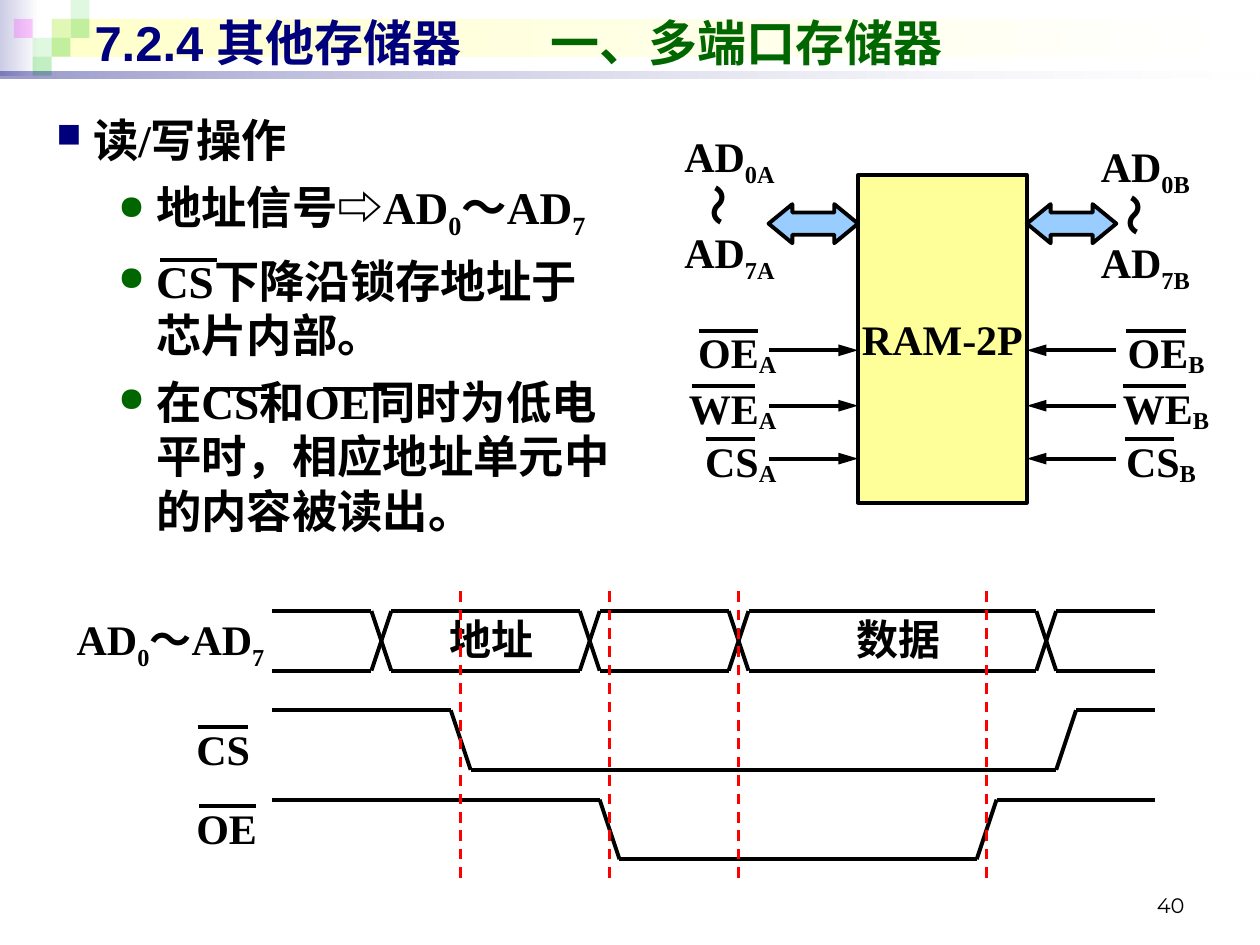
from dataclasses import dataclass
from typing import NamedTuple

from lxml import etree
from pptx import Presentation
from pptx.dml.color import RGBColor
from pptx.enum.dml import MSO_LINE
from pptx.enum.shapes import MSO_CONNECTOR, MSO_SHAPE
from pptx.enum.text import MSO_ANCHOR, MSO_AUTO_SIZE, PP_ALIGN
from pptx.oxml.ns import qn
from pptx.util import Inches, Pt

RECT, ARROW = MSO_SHAPE.RECTANGLE, MSO_SHAPE.LEFT_RIGHT_ARROW
STRAIGHT, DASH = MSO_CONNECTOR.STRAIGHT, MSO_LINE.DASH
LEFT, MID, RIGHT = PP_ALIGN.LEFT, PP_ALIGN.CENTER, PP_ALIGN.RIGHT
TOP, MIDDLE, BOTTOM = MSO_ANCHOR.TOP, MSO_ANCHOR.MIDDLE, MSO_ANCHOR.BOTTOM
FIXED, GROW = MSO_AUTO_SIZE.NONE, MSO_AUTO_SIZE.SHAPE_TO_FIT_TEXT
COLS, ROWS = 100, 75


@dataclass(frozen=True)
class Theme:
    navy: str = "00007D"
    green: str = "006600"
    black: str = "000000"
    white: str = "FFFFFF"
    red: str = "FF0000"
    chip: str = "FFFF99"
    bus: str = "99CCFF"
    mint: str = "33CC33"
    pink: str = "FF00FF"
    haze: str = "CCCCE6"
    cream: str = "FFFFCC"
    serif: str = "Times New Roman"
    sans: str = "Arial"
    digit: str = "Montserrat"
    head: float = 28
    body: float = 25.9
    label: float = 24
    note: float = 12
    stroke: float = 2.24
    thin: float = 1.5


class Run(NamedTuple):
    text: str
    base: int = 0
    font: str = ""
    color: str = ""


class Tile(NamedTuple):
    col: int
    row: int
    color: str
    alpha: int


class Pin(NamedTuple):
    name: str
    row: float
    width: float
    bar_a: tuple
    bar_b: tuple


class Item(NamedTuple):
    runs: list
    indent: float
    hang: float
    mark: str
    color: str


T = Theme()
deck = Presentation()
deck.slide_width, deck.slide_height = Inches(10), Inches(7.5)
slide = deck.slides.add_slide(deck.slide_layouts[5])
shapes = slide.shapes


def across(cols: float) -> int:
    return round(deck.slide_width * cols / COLS)


def down(rows: float) -> int:
    return round(deck.slide_height * rows / ROWS)


def frame(at: tuple) -> tuple:
    x, y, w, h = at
    return across(x), down(y), across(w), down(h)


def node(parent, tag: str, **attrs):
    return etree.SubElement(parent, qn(tag), attrs)


def write(para, runs, size=T.label, font=T.serif, color=T.black, bold=True, align=LEFT, before=15.0):
    para.alignment, para.space_before = align, Pt(before)
    for part in [Run(runs)] if isinstance(runs, str) else runs:
        for k, line in enumerate(part.text.split("\n")):
            if k:
                para.add_line_break()
            run = para.add_run()
            run.text = line
            run.font.size, run.font.bold = Pt(size), bold
            run.font.name = part.font or font
            run.font.color.rgb = RGBColor.from_string(part.color or color)
            if part.base:
                run.font._element.set("baseline", str(part.base * 1000))


def box(at: tuple, runs, turn=0, anchor=TOP, fit=GROW, **look):
    shape = shapes.add_textbox(*frame(at))
    shape.rotation = turn
    text = shape.text_frame
    text.word_wrap, text.auto_size, text.vertical_anchor = True, fit, anchor
    if runs:
        write(text.paragraphs[0], runs, **look)
    return text


def block(at: tuple, fill: str, kind=RECT, fade="", alphas=(), edge=False):
    shape = shapes.add_shape(kind, *frame(at))
    shape.shadow.inherit = False
    if fade:
        shape.fill.gradient()
        shape.fill.gradient_angle = 0
        for stop, color in zip(shape.fill.gradient_stops, (fill, fade)):
            stop.color.rgb = RGBColor.from_string(color)
    else:
        shape.fill.solid()
        shape.fill.fore_color.rgb = RGBColor.from_string(fill)
    for color, alpha in zip(shape.element.spPr.iter(qn("a:srgbClr")), alphas):
        node(color, "a:alpha", val=str(alpha * 1000))
    if edge:
        shape.line.color.rgb = RGBColor.from_string(T.black)
        shape.line.width = Pt(T.stroke)
    else:
        shape.line.fill.background()
    return shape


def rule(x1: float, y1: float, x2: float, y2: float, color=T.black, width=T.stroke, dash=None, tip=False):
    line = shapes.add_connector(STRAIGHT, across(x1), down(y1), across(x2), down(y2))
    line.line.color.rgb = RGBColor.from_string(color)
    line.line.width = Pt(width)
    if dash:
        line.line.dash_style = dash
    if tip:
        node(line.line._get_or_add_ln(), "a:tailEnd", type="triangle", w="med", len="lg")
    node(line.element.spPr, "a:effectLst")


def trace(*points: tuple, **look):
    step = 70.1 / 89
    spots = [(21.6 + c * step, 48.5 + r * step) for c, r in points]
    for start, end in zip(spots, spots[1:]):
        rule(*start, *end, **look)


def listing(at: tuple, items: list):
    text = box(at, "", fit=FIXED)
    for k, item in enumerate(items):
        para = text.add_paragraph() if k else text.paragraphs[0]
        write(para, item.runs, size=T.body, before=7)
        props = para._p.get_or_add_pPr()
        props.set("marL", str(across(item.indent)))
        props.set("indent", str(-across(item.hang)))
        node(node(props, "a:buClr"), "a:srgbClr", val=item.color)
        node(props, "a:buSzPct", val="75000")
        node(props, "a:buChar", char=item.mark)


block((0, 0, 3.1, 6), T.haze, fade=T.white)
block((4.1, 1.5, 95.5, 3), T.cream, fade=T.white)
TILES = [Tile(2, 1, T.mint, 15), Tile(3, 0, T.mint, 15), Tile(3, 1, T.mint, 30), Tile(1, 2, T.mint, 15),
         Tile(0, 1, T.pink, 20), Tile(2, 2, T.mint, 30), Tile(1, 3, T.mint, 30)]
for tile in TILES:
    block((1.1 + 1.5 * tile.col, 1.5 * tile.row, 1.5, 1.5), tile.color, alphas=(tile.alpha,))
block((0, 5.7, 100, 0.5), T.navy, fade=T.white, alphas=(40, 10))

box((71.7, 68.3, 23.3, 5), "40", anchor=BOTTOM, size=T.note, font=T.digit, bold=False, align=RIGHT, before=0)

title = shapes.title
title.left, title.top, title.width, title.height = frame((6.5, 0.5, 90, 5.7))
title.text_frame.vertical_anchor, title.text_frame.auto_size = MIDDLE, FIXED
head = title.text_frame.paragraphs[0]
write(head, [Run("7.2.4 其他存储器\t"), Run("一、多端口存储器", color=T.green)],
      size=T.head, font=T.sans, color=T.navy, before=0)
node(node(head._p.get_or_add_pPr(), "a:tabLst"), "a:tab", pos=str(across(36.2)), algn="l")
shapes.element.append(title.element)

TOPICS = [[Run("地址信号"), Run("⇨", font=T.sans), Run("AD"), Run("0", -25), Run("～AD"), Run("7", -25)],
          "CS下降沿锁存地址于\n芯片内部。",
          "在CS和OE同时为低电\n平时，相应地址单元中\n的内容被读出。"]
listing((3.5, 8.4, 49.6, 37), [Item("读/写操作", 2.9, 2.9, "■", T.navy)]
        + [Item(topic, 7.9, 3, "●", T.green) for topic in TOPICS])
for x, y, end in [(12.7, 20.6, 17.2), (16.7, 30.9, 21.2), (25.6, 30.9, 30.7)]:
    rule(x, y, end, y)

chip = block((68.1, 13.9, 13.4, 26), T.chip, edge=True).text_frame
chip.word_wrap, chip.vertical_anchor = False, MIDDLE
write(chip.paragraphs[0], "RAM-2P", align=MID)

for port, x, y, bus in [("A", 52.4, 9.9, 61), ("B", 85.4, 10.7, 81.5)]:
    arrow = block((bus, 16.2, 7.1, 3.1), T.bus, kind=ARROW, edge=True)
    arrow.adjustments[0], arrow.adjustments[1] = 0.569, 0.608
    for digit, drop in [("0", 0), ("7", 7.6)]:
        box((x, y + drop, 11, 5.6), [Run("AD"), Run(digit + port, -25)], align=MID)
    box((x + 1, y + 3.9, 7.1, 5), "～", turn=270, align=MID)

PINS = [Pin("OE", 27.8, 10.2, (55.5, 60.2), (89.4, 94.1)),
        Pin("WE", 32.2, 10.2, (54.9, 59.9), (89.1, 94.1)),
        Pin("CS", 36.4, 9.4, (56, 59.9), (89.3, 93.2))]
for pin in PINS:
    y, wide = pin.row, pin.width
    sides = [("A", 62.6 - wide, wide, RIGHT, pin.bar_a, 61, 68.1),
             ("B", 87.8, wide - 0.7, MID, pin.bar_b, 88.6, 81.5)]
    for port, x, w, align, bar, start, end in sides:
        rule(start, y, end, y, tip=True)
        box((x, y - 2.35, w, 5.1), [Run(pin.name), Run(port, -12)], align=align)
        rule(bar[0], y - 1.55, bar[1], y - 1.55)

CROSS = [10, 31, 46, 77]
for start, end in zip([0] + [c + 2 for c in CROSS], CROSS + [89]):
    for row in (0, 6):
        trace((start, row), (end, row))
for col in CROSS:
    trace((col, 0), (col + 2, 6))
    trace((col + 2, 0), (col, 6))
for high, fall, rise in [(10, 18, 79), (19, 33, 71)]:
    low = high + 6
    trace((0, high), (fall, high), (fall + 2, low), (rise, low), (rise + 2, high), (89, high))

for x, name in [(33.5, "地址"), (65.8, "数据")]:
    box((x, 48.2, 11, 5), name, align=MID)
box((5.1, 48.2, 18.1, 10.1), [Run("AD"), Run("0", -25), Run("～AD"), Run("7", -25)])
for name, y, start, end in [("CS", 56.9, 15.7, 19.7), ("OE", 63.2, 15.8, 20.3)]:
    box((14.6, y, 8.7, 5), name)
    rule(start, y + 0.8, end, y + 0.8)
for col in (19, 34, 47, 72):
    trace((col, -2), (col, 27), color=T.red, width=T.thin, dash=DASH)

deck.save("out.pptx")
